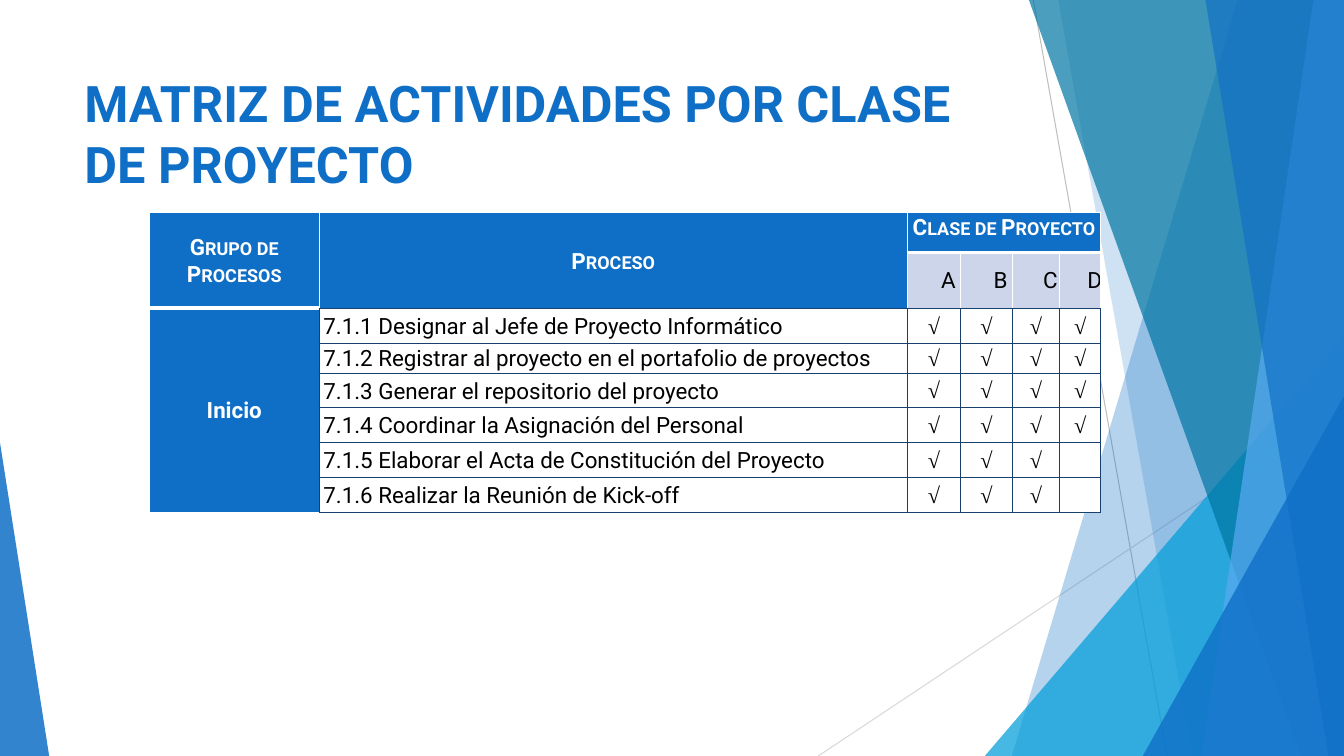
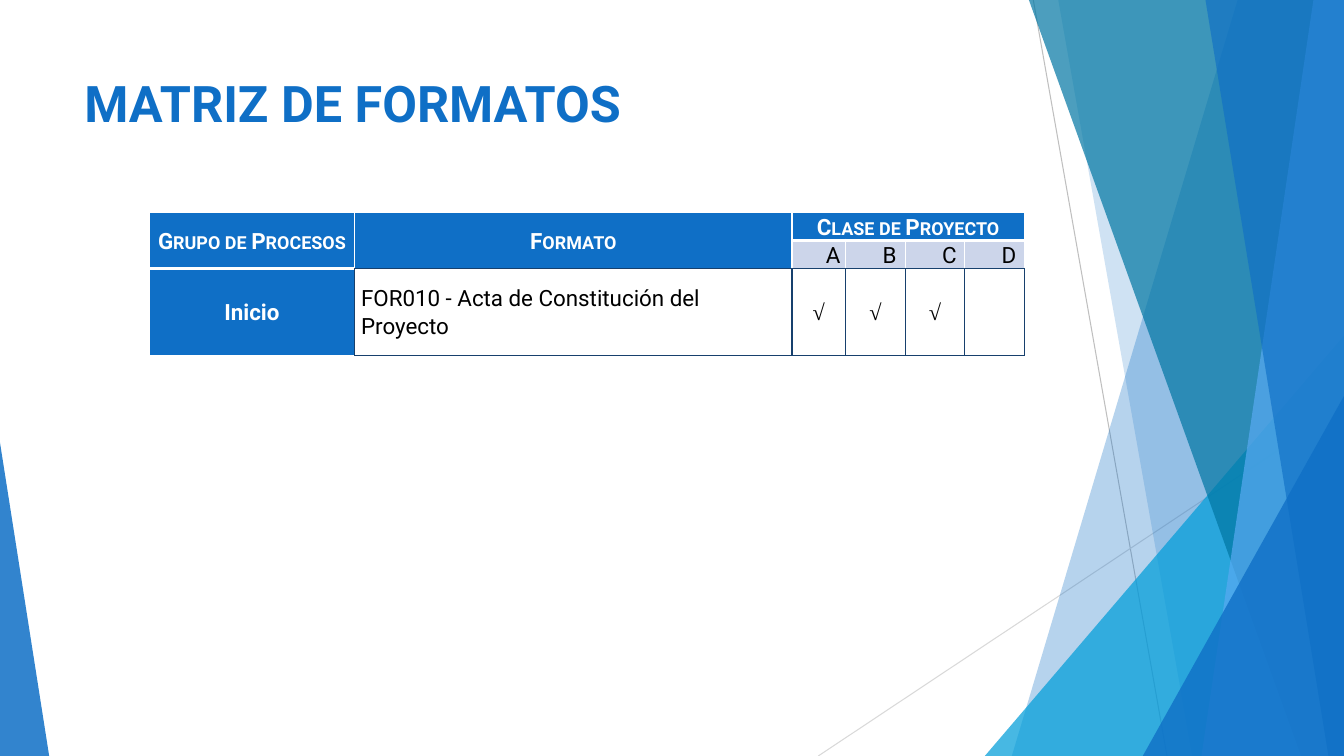
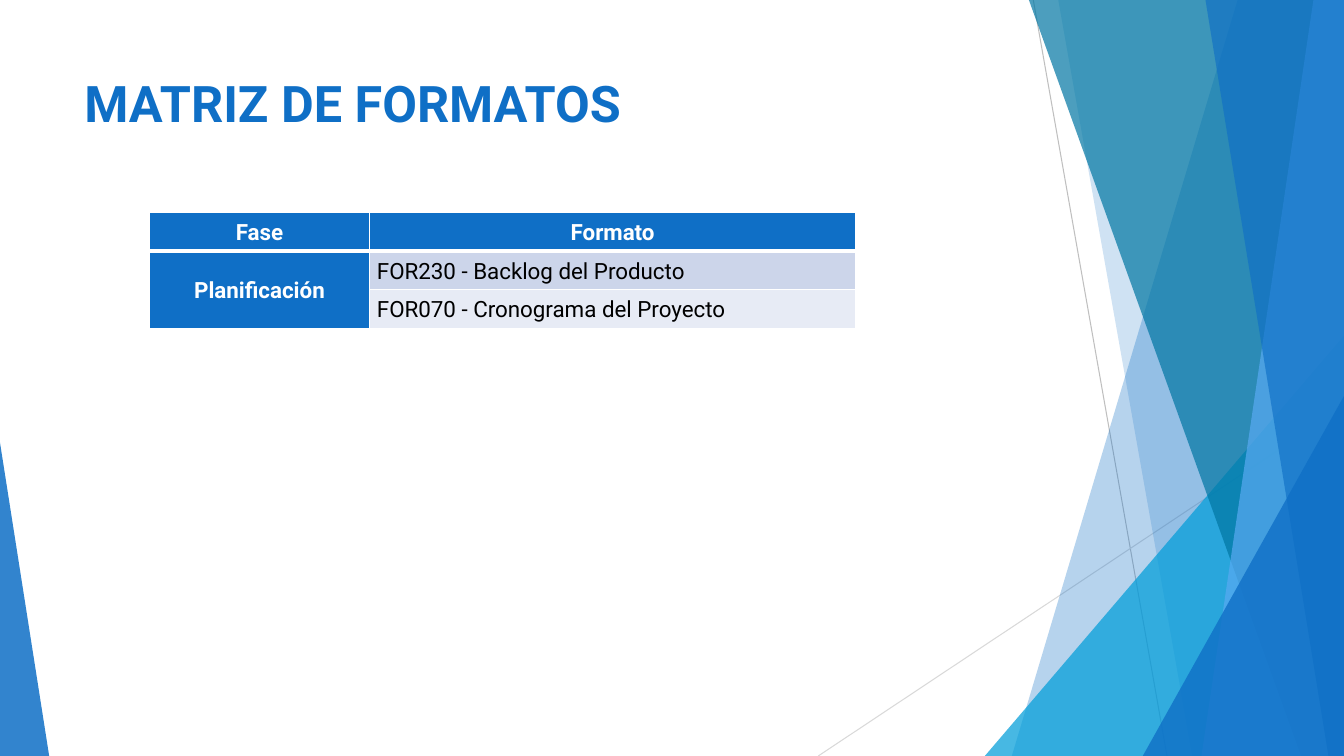
from lxml.etree import SubElement
from pptx import Presentation
from pptx.dml.color import RGBColor
from pptx.enum.shapes import MSO_CONNECTOR, MSO_SHAPE
from pptx.enum.text import MSO_ANCHOR as Anchor, PP_ALIGN as Align
from pptx.oxml.ns import qn
from pptx.util import Cm, Pt

BLUE, NAVY, WHITE, BLACK = "0F6FC6", "17406D", "FFFFFF", "000000"
LAVENDER, PALE = "CCD5EA", "E7EBF5"
FONT, CHECK_FONT = "Roboto", "Times New Roman"
WIDTH, HEIGHT = 33.87, 19.05

# Lines: x1, y1, x2, y2, colour
LINES = [
    (26.04, 0, 29.41, HEIGHT, "BFBFBF"),
    (WIDTH, 10.24, 20.62, HEIGHT, "D9D9D9"),
]
# Bands reach the right edge: x at the top, x at the bottom, colour, opacity
# Triangles stand on the bottom edge: left, top, width, apex, colour, opacity
DECORATION = [
    ("band", 31.19, 25.5, BLUE, 30),
    ("band", 26.67, 30.05, BLUE, 20),
    ("triangle", 24.82, 8.46, 9.05, 1, "009DD9", 72),
    ("band", 25.93, 32.79, "0076A3", 70),
    ("band", 33.1, 30.28, "59AAF2", 70),
    ("band", 30.38, 33.48, BLUE, 65),
    ("triangle", 28.8, 9.98, 5.07, 1, BLUE, 80),
    ("triangle", 0, 11.15, 1.24, 0, BLUE, 85),
]

# Borders in the order left, right, top, bottom
BORDERS = {"w": (WHITE, 1), "W": (WHITE, 3), "n": (NAVY, 1)}
# Cell styles: fill, text colour, bold, small caps, alignment, font, borders
STYLES = {
    "group": (BLUE, WHITE, True, True, Align.CENTER, FONT, "wwwW"),
    "process": (BLUE, WHITE, True, True, Align.CENTER, FONT, "wwwn"),
    "class": (BLUE, WHITE, True, True, Align.CENTER, FONT, "wwwW"),
    "letter": (LAVENDER, BLACK, False, True, Align.CENTER, FONT, "wwwn"),
    "stage": (BLUE, WHITE, True, False, Align.CENTER, FONT, "wnww"),
    "activity": (WHITE, BLACK, False, False, Align.LEFT, FONT, "nnnn"),
    "check": (WHITE, BLACK, False, False, Align.CENTER, CHECK_FONT, "nnnn"),
    "heading": (BLUE, WHITE, True, False, Align.CENTER, FONT, "wwwW"),
    "phase": (BLUE, WHITE, True, False, Align.CENTER, FONT, "wwww"),
    "format": (LAVENDER, BLACK, False, False, Align.LEFT, FONT, "wwww"),
    "format_alt": (PALE, BLACK, False, False, Align.LEFT, FONT, "wwww"),
}
HEAD_STYLES = ["group", "process"] + ["class"] * 4
LETTER_STYLES = ["group", "process"] + ["letter"] * 4
BODY_STYLES = ["stage", "activity"] + ["check"] * 4
LETTERS = ["", "", "A", "B", "C", "D"]
HEAD_MERGES = [(0, 0, 1, 0), (0, 1, 1, 1), (0, 2, 0, 5)]

ACTIVITIES = [
    ("7.1.1 Designar al Jefe de Proyecto Informático", "√√√√"),
    ("7.1.2 Registrar al proyecto en el portafolio de proyectos", "√√√√"),
    ("7.1.3 Generar el repositorio del proyecto", "√√√√"),
    ("7.1.4 Coordinar la Asignación del Personal", "√√√√"),
    ("7.1.5 Elaborar el Acta de Constitución del Proyecto", "√√√"),
    ("7.1.6 Realizar la Reunión de Kick-off", "√√√"),
]

SLIDES = [
    {
        "title": "MATRIZ DE ACTIVIDADES POR CLASE DE PROYECTO",
        "columns": [4.29, 14.81, 1.35, 1.3, 1.19, 1.04],
        "heights": [1, 1.41, 0.88, 0.76, 0.86, 0.88, 0.88, 0.88],
        "inset": 0.1,
        "merges": HEAD_MERGES + [(2, 0, 7, 0)],
        "rows": [
            (HEAD_STYLES, ["Grupo de Procesos", "Proceso", "Clase de Proyecto"]),
            (LETTER_STYLES, LETTERS),
        ] + [
            (BODY_STYLES, ["" if index else "Inicio", activity, *checks])
            for index, (activity, checks) in enumerate(ACTIVITIES)
        ],
    },
    {
        "title": "MATRIZ DE FORMATOS",
        "columns": [5.18, 11.02, 1.35, 1.5, 1.5, 1.5],
        "heights": [0.69, 0.69, 2.19],
        "inset": 0.16,
        "merges": HEAD_MERGES,
        "rows": [
            (HEAD_STYLES, ["Grupo de Procesos", "Formato", "Clase de Proyecto"]),
            (LETTER_STYLES, LETTERS),
            (BODY_STYLES, ["Inicio", "FOR010 - Acta de Constitución del Proyecto", *"√√√"]),
        ],
    },
    {
        "title": "MATRIZ DE FORMATOS",
        "columns": [5.56, 12.24],
        "heights": [0.97, 0.97, 0.97],
        "inset": 0.18,
        "merges": [(1, 0, 2, 0)],
        "rows": [
            (["heading", "heading"], ["Fase", "Formato"]),
            (["phase", "format"], ["Planificación", "FOR230 - Backlog del Producto"]),
            (["phase", "format_alt"], ["", "FOR070 - Cronograma del Proyecto"]),
        ],
    },
]


def rgb(colour):
    return RGBColor.from_string(colour)


def format_cell(cell, style, inset):
    """Apply a named style to the borders, fill and text of a table cell."""
    fill, colour, bold, small_caps, align, font, borders = STYLES[style]
    properties = cell._tc.get_or_add_tcPr()
    for side, key in zip("LRTB", borders):
        line_colour, points = BORDERS[key]
        line = SubElement(properties, qn(f"a:ln{side}"), w=str(Pt(points)))
        solid = SubElement(line, qn("a:solidFill"))
        SubElement(solid, qn("a:srgbClr"), val=line_colour)
    cell.fill.solid()
    cell.fill.fore_color.rgb = rgb(fill)
    cell.vertical_anchor = Anchor.TOP if style == "class" else Anchor.MIDDLE
    cell.margin_left = cell.margin_right = Cm(0 if style == "class" else inset)
    cell.margin_top = cell.margin_bottom = 0
    paragraph = cell.text_frame.paragraphs[0]
    paragraph.alignment = align
    paragraph.line_spacing = 1.07
    paragraph.font.name = font
    paragraph.font.size = Pt(16)
    paragraph.font.bold = bold
    paragraph.font.color.rgb = rgb(colour)
    paragraph_properties = paragraph._p.get_or_add_pPr()
    if small_caps:
        paragraph_properties.find(qn("a:defRPr")).set("cap", "small")
    if style == "letter":
        paragraph_properties.set("marL", str(Cm(0.36)))


presentation = Presentation()
presentation.slide_width = Cm(WIDTH)
presentation.slide_height = Cm(HEIGHT)

for content in SLIDES:
    slide = presentation.slides.add_slide(presentation.slide_layouts[6])
    shapes = slide.shapes

    for *ends, colour in LINES:
        line = shapes.add_connector(MSO_CONNECTOR.STRAIGHT, *map(Cm, ends))
        line.line.color.rgb = rgb(colour)
        line.line.width = Pt(0.75)
        SubElement(line._element.spPr, qn("a:effectLst"))

    for kind, *geometry, colour, opacity in DECORATION:
        if kind == "band":
            top_x, bottom_x = geometry
            builder = shapes.build_freeform(Cm(top_x), 0)
            corners = [(WIDTH, 0), (WIDTH, HEIGHT), (bottom_x, HEIGHT)]
            builder.add_line_segments([(Cm(x), Cm(y)) for x, y in corners])
            shape = builder.convert_to_shape()
        else:
            left, top, width, apex = geometry
            shape = shapes.add_shape(MSO_SHAPE.ISOSCELES_TRIANGLE, Cm(left), Cm(top),
                                     Cm(width), Cm(HEIGHT - top))
            shape.adjustments[0] = apex
        shape.shadow.inherit = False
        shape.line.fill.background()
        shape.fill.solid()
        shape.fill.fore_color.rgb = rgb(colour)
        colour_element = shape._element.spPr.find(f".//{qn('a:srgbClr')}")
        SubElement(colour_element, qn("a:alpha"), val=str(opacity * 1000))

    columns, heights = content["columns"], content["heights"]
    table = shapes.add_table(len(heights), len(columns), Cm(3.76), Cm(5.36),
                             Cm(sum(columns)), Cm(sum(heights))).table
    table.first_row = table.horz_banding = False
    for column, width in zip(table.columns, columns):
        column.width = Cm(width)
    for row, height, (styles, texts) in zip(table.rows, heights, content["rows"]):
        row.height = Cm(height)
        for cell, text in zip(row.cells, texts):
            if text:
                cell.text = text
        for cell, style in zip(row.cells, styles):
            format_cell(cell, style, content["inset"])
    for top, left, bottom, right in content["merges"]:
        table.cell(top, left).merge(table.cell(bottom, right))

    title = shapes.add_textbox(Cm(1.88), Cm(1.7), Cm(23.88), Cm(3.66))
    title.text_frame.word_wrap = True
    title.text_frame.text = content["title"]
    paragraph = title.text_frame.paragraphs[0]
    paragraph.font.name = FONT
    paragraph.font.size = Pt(36)
    paragraph.font.bold = True
    paragraph.font.color.rgb = rgb(BLUE)

presentation.save("out.pptx")
